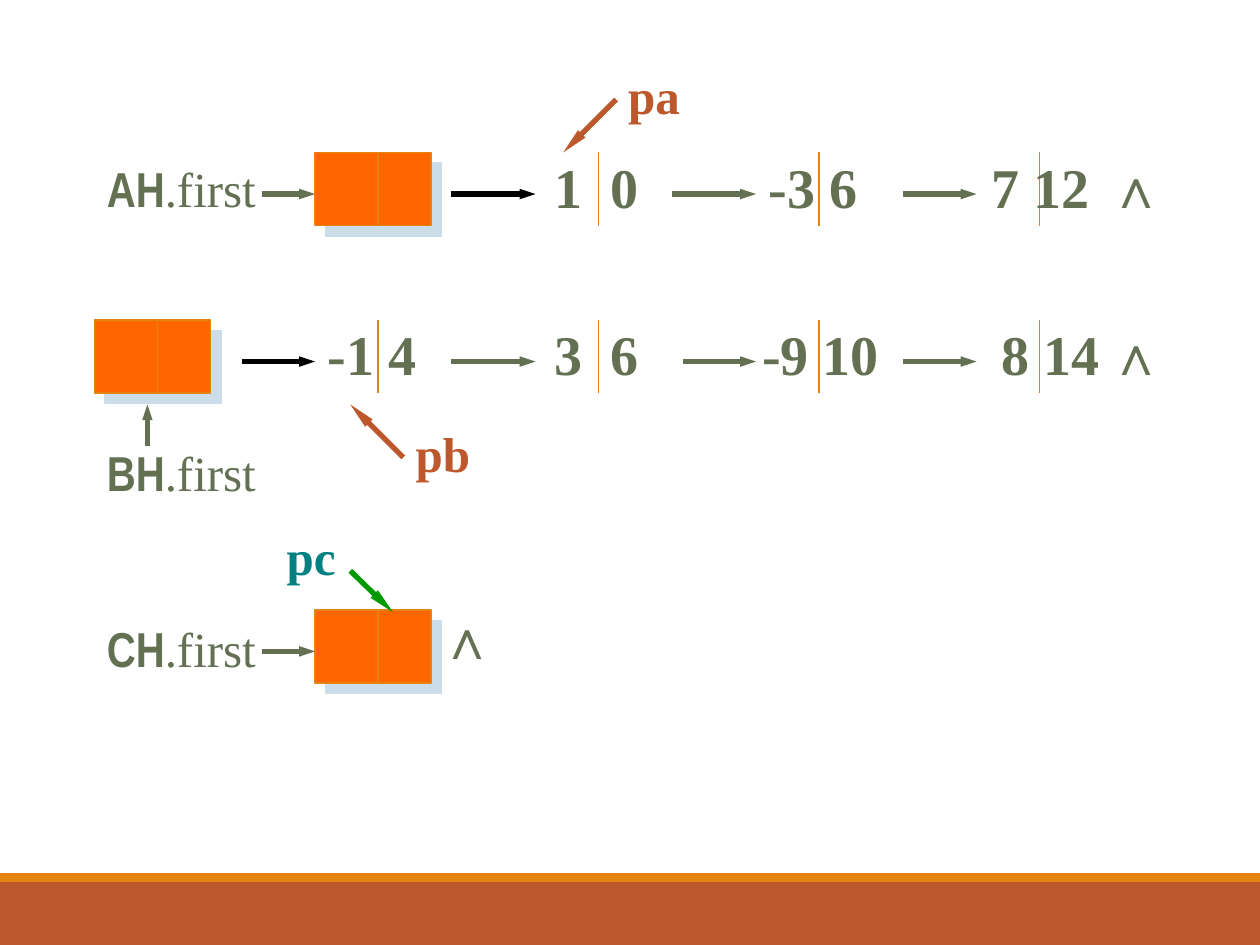
import pptx
import pptx.util
import pptx.dml.color
import pptx.enum.shapes
import pptx.enum.text
import pptx.oxml
import pptx.oxml.ns

RGB = pptx.dml.color.RGBColor
INK = RGB(0x63, 0x70, 0x52)
RUST = RGB(0xBD, 0x58, 0x2C)
GOLD = RGB(0xE4, 0x83, 0x12)
FLAME = RGB(0xFF, 0x66, 0x00)
BLACK = RGB(0x00, 0x00, 0x00)
GREEN = RGB(0x00, 0x99, 0x00)
TEAL = RGB(0x00, 0x80, 0x80)
WHITE = RGB(0xFF, 0xFF, 0xFF)

SERIF, NARROW = "Times New Roman", "Arial Narrow"
ROWS = {"A": 1.21, "B": 2.54, "C": 4.84}
TALL = 0.58
AXIS = 0.33  # arrow height below the top of a row
SHADE = (
    '<a:outerShdw {} dist="107950" dir="2700000" algn="ctr" rotWithShape="0">'
    '<a:srgbClr val="CCDDEA"/></a:outerShdw>'
).format(pptx.oxml.ns.nsdecls("a"))


def inch(*sizes):
    return [pptx.util.Inches(size) for size in sizes]


def col(num):
    """Left-to-right place of the divider of a list node."""
    return 1.25 + 1.75 * num


def rect(slide, place, fill):
    kind = pptx.enum.shapes.MSO_SHAPE.RECTANGLE
    shape = slide.shapes.add_shape(kind, *inch(*place))
    shape.shadow.inherit = False
    shape.fill.solid()
    shape.fill.fore_color.rgb = fill
    shape.line.fill.background()
    return shape


def line(slide, start, end, color, width):
    kind = pptx.enum.shapes.MSO_CONNECTOR.STRAIGHT
    link = slide.shapes.add_connector(kind, *inch(*start, *end))
    link.line.color.rgb = color
    link.line.width = pptx.util.Pt(width)
    props = link._element.spPr
    props.append(pptx.oxml.parse_xml(
        "<a:effectLst %s/>" % pptx.oxml.ns.nsdecls("a")))
    return link


def arrow(slide, start, end, color=INK, size="med"):
    link = line(slide, start, end, color, 3)
    link.line._get_or_add_ln().append(pptx.oxml.parse_xml(
        '<a:tailEnd %s type="triangle" w="sm" len="%s"/>'
        % (pptx.oxml.ns.nsdecls("a"), size)))


def rule(slide, num, row):
    x, y = col(num), ROWS[row]
    line(slide, (x, y), (x, y + TALL), GOLD, 0.75)


def head(slide, num, row):
    """Shadowed head node with its divider."""
    shape = rect(slide, (col(num) - 0.5, ROWS[row], 0.92, TALL), FLAME)
    shape.line.color.rgb = GOLD
    shape.line.width = pptx.util.Pt(0.75)
    shape._element.spPr.find(pptx.oxml.ns.qn("a:effectLst")).append(
        pptx.oxml.parse_xml(SHADE))
    rule(slide, num, row)


def text(slide, place, runs, size, color=INK, mid=False):
    """Add runs given as (words, font, bold, spacing in points)."""
    box = slide.shapes.add_textbox(*inch(*place))
    frame = box.text_frame
    frame.word_wrap = False
    frame.auto_size = pptx.enum.text.MSO_AUTO_SIZE.SHAPE_TO_FIT_TEXT
    para = frame.paragraphs[0]
    if mid:
        frame.vertical_anchor = pptx.enum.text.MSO_ANCHOR.MIDDLE
        para.alignment = pptx.enum.text.PP_ALIGN.CENTER
    for words, face, bold, space in runs:
        run = para.add_run()
        run.text = words
        run.font.name = face
        run.font.size = pptx.util.Pt(size)
        run.font.bold = bold
        run.font.color.rgb = color
        if space:
            run._r.get_or_add_rPr().set("spc", str(space * 100))


def name(slide, letter, y):
    runs = [(letter + "H", NARROW, True, 0), (".first", SERIF, False, 0)]
    text(slide, (0.75, y, 1.39, 0.57), runs, 28)


def term(slide, x, row, width, coef, power, gap=0):
    runs = [(coef, SERIF, True, 0), (" ", SERIF, True, gap),
            (power, SERIF, True, 0)]
    text(slide, (x, ROWS[row] - 0.05, width, 0.63), runs, 32)


def null(slide, x, y):
    text(slide, (x, y, 0.47, 0.63), [("∧", SERIF, True, 0)], 32)


def mark(slide, words, place, start, end, ink, stroke):
    """Pointer name with its slanted arrow."""
    arrow(slide, start, end, stroke, "lg")
    text(slide, (*place, 0.57), [(words, SERIF, True, 0)], 28, ink, True)


def main():
    deck = pptx.Presentation()
    deck.slide_width, deck.slide_height = inch(10, 7.5)
    slide = deck.slides.add_slide(deck.slide_layouts[6])
    slide.background.fill.solid()
    slide.background.fill.fore_color.rgb = WHITE
    rect(slide, (0, 7, 10, 0.5), RUST)
    rect(slide, (0, 6.93, 10, 0.07), GOLD)

    for num, row in ((1, "A"), (0, "B"), (1, "C")):
        head(slide, num, row)
    for row, first in (("A", 2), ("B", 1)):
        for num in range(first, 5):
            rule(slide, num, row)
        null(slide, 8.7, ROWS[row] - 0.05)
    null(slide, 3.39, 4.74)

    for letter, y in (("A", 1.21), ("B", 3.46), ("C", 4.86)):
        name(slide, letter, y)

    for row, left, right, color in (
        ("A", 2.08, 2.5, INK), ("A", 3.58, 4.25, BLACK),
        ("A", 5.33, 6, INK), ("A", 7.17, 7.75, INK),
        ("B", 1.92, 2.5, BLACK), ("B", 3.58, 4.25, INK),
        ("B", 5.42, 6, INK), ("B", 7.17, 7.75, INK),
        ("C", 2.08, 2.5, INK),
    ):
        y = ROWS[row] + AXIS
        arrow(slide, (left, y), (right, y), color)
    arrow(slide, (1.17, 3.54), (1.17, 3.21))

    for item in (
        (4.3, "A", 0.87, "1", "0", 8), (6, "A", 0.92, "-3", "6"),
        (7.77, "A", 0.98, "7", "12"),
        (2.5, "B", 0.92, "-1", "4"), (4.3, "B", 0.87, "3", "6", 8),
        (5.95, "B", 1.14, "-9", "10"), (7.85, "B", 0.99, "8", "14"),
    ):
        term(slide, *item)

    mark(slide, "pa", (4.88, 0.47, 0.62), (4.89, 0.79), (4.47, 1.21),
         RUST, RUST)
    mark(slide, "pb", (3.19, 3.31, 0.65), (3.2, 3.63), (2.78, 3.21),
         RUST, RUST)
    mark(slide, "pc", (2.17, 4.13, 0.6), (2.78, 4.53), (3.12, 4.86),
         TEAL, GREEN)
    deck.save("out.pptx")


if __name__ == "__main__":
    main()
